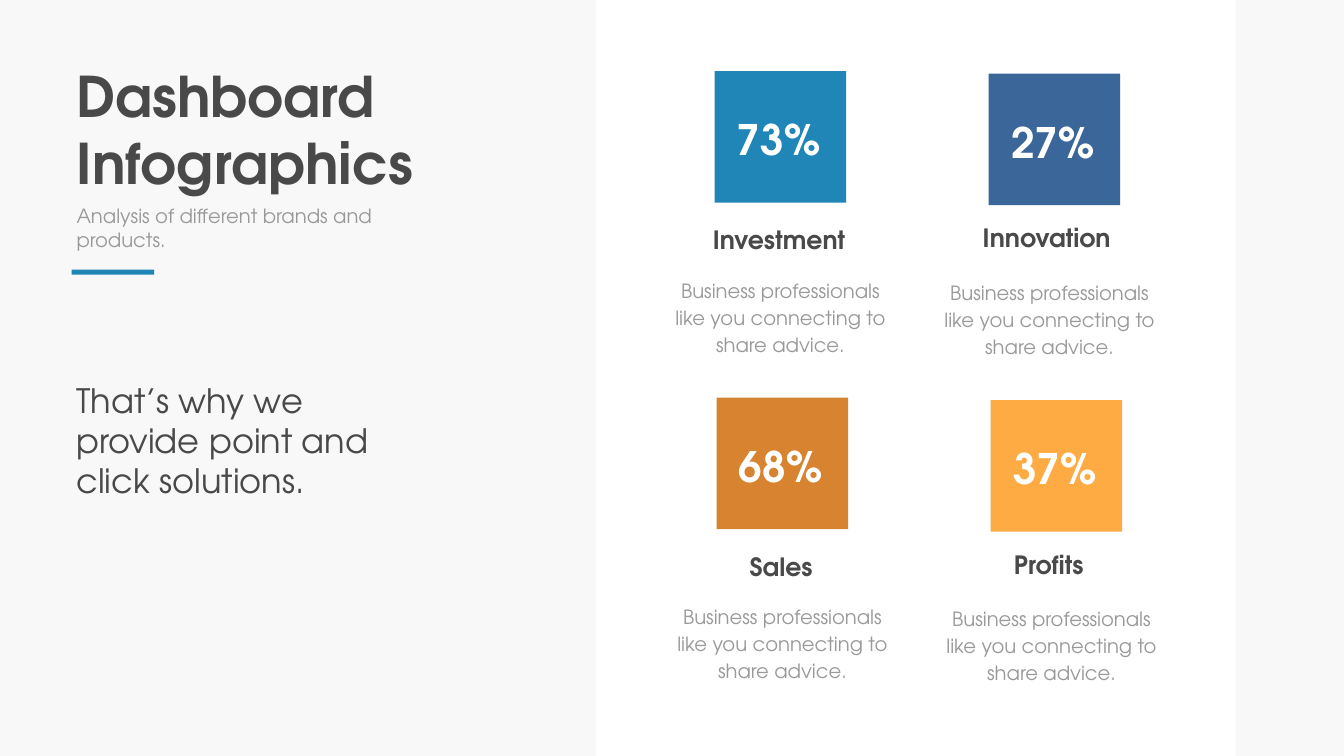
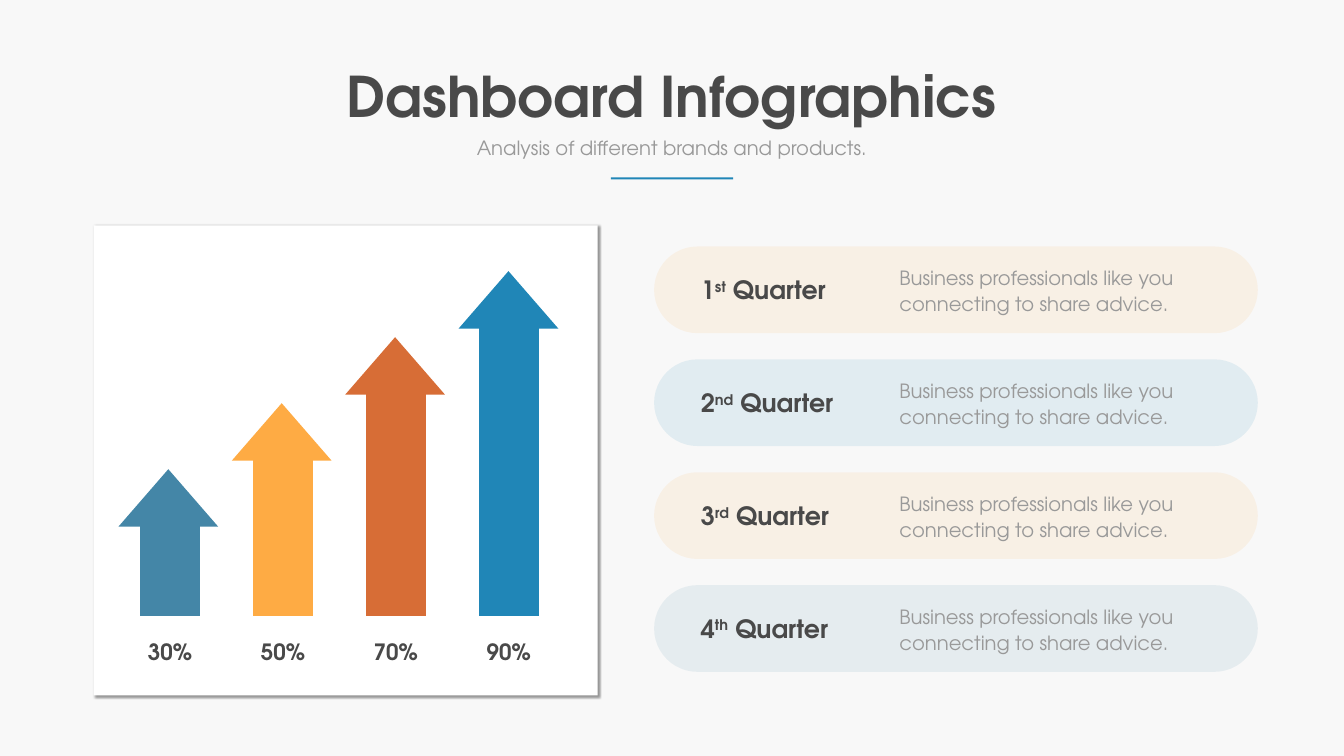
from dataclasses import dataclass
from typing import Optional

from lxml.etree import SubElement
from pptx import Presentation
from pptx.chart.data import CategoryChartData
from pptx.dml.color import RGBColor
from pptx.enum.chart import XL_CHART_TYPE
from pptx.enum.shapes import MSO_SHAPE
from pptx.enum.text import MSO_ANCHOR, MSO_AUTO_SIZE, PP_ALIGN
from pptx.oxml import parse_xml
from pptx.oxml.ns import nsdecls, qn
from pptx.util import Emu, Pt

PX = 9144
FONT = "TeX Gyre Adventor"
PAPER = RGBColor(0xF8, 0xF8, 0xF8)
WHITE = RGBColor(0xFF, 0xFF, 0xFF)
DARK = RGBColor(0x49, 0x49, 0x49)
GREY = RGBColor(0x99, 0x99, 0x99)
BLUE = RGBColor(0x20, 0x86, 0xB7)
NAVY = RGBColor(0x3A, 0x66, 0x99)
STEEL = RGBColor(0x44, 0x86, 0xA7)
BROWN = RGBColor(0xD7, 0x83, 0x30)
AMBER = RGBColor(0xFE, 0xAB, 0x44)
RUST = RGBColor(0xD7, 0x6D, 0x36)

TITLE = "Dashboard Infographics"
SUBTITLE = "Analysis of different brands and products."
ADVICE = "Business professionals like you connecting to share advice."


@dataclass(frozen=True)
class Area:
    left: int
    top: int
    width: int
    height: int

    def moved(self, right: int = 0, down: int = 0) -> "Area":
        return Area(self.left + right, self.top + down, self.width, self.height)

    def emu(self) -> list[Emu]:
        return [Emu(length * PX) for length in (self.left, self.top, self.width, self.height)]


@dataclass(frozen=True)
class TextStyle:
    size: int
    color: RGBColor
    bold: bool = False
    align: PP_ALIGN = PP_ALIGN.LEFT
    line_points: Optional[float] = None
    anchor: MSO_ANCHOR = MSO_ANCHOR.TOP
    wrap: bool = True


@dataclass(frozen=True)
class CardColumn:
    square: Area
    label: Area
    body: Area


@dataclass(frozen=True)
class Card:
    column: int
    row: int
    percent: str
    label: str
    color: RGBColor


@dataclass(frozen=True)
class Bar:
    value: int
    percent: str
    color: RGBColor


@dataclass(frozen=True)
class Quarter:
    number: str
    suffix: str
    color: RGBColor


CENTER = PP_ALIGN.CENTER
TITLE_LEFT = TextStyle(80, DARK, True)
TITLE_CENTER = TextStyle(80, DARK, True, CENTER, wrap=False)
SUBTITLE_LEFT = TextStyle(28, GREY)
SUBTITLE_CENTER = TextStyle(28, GREY, align=CENTER)
STATEMENT = TextStyle(48, DARK)
PERCENT = TextStyle(60, WHITE, True, CENTER)
CARD_LABEL = TextStyle(36, DARK, True, CENTER)
CARD_BODY = TextStyle(28, GREY, align=CENTER, line_points=38.6)
BAR_LABEL = TextStyle(32, DARK, True, CENTER, anchor=MSO_ANCHOR.MIDDLE)
QUARTER_LABEL = TextStyle(36, DARK, True)
QUARTER_BODY = TextStyle(28, GREY, line_points=36.6)

CARD_COLUMNS = [
    CardColumn(Area(1418, 141, 261, 261), Area(1333, 440, 426, 71), Area(1318, 541, 461, 169)),
    CardColumn(Area(1962, 146, 261, 261), Area(1843, 437, 468, 71), Area(1852, 545, 461, 169)),
]
CARD_ROW_SHIFT = (4, 648)
CARDS = [
    Card(0, 0, "73%", "Investment", BLUE),
    Card(1, 0, "27%", "Innovation", NAVY),
    Card(0, 1, "68%", "Sales", BROWN),
    Card(1, 1, "37%", "Profits", AMBER),
]
BARS = [
    Bar(33, "30%", STEEL),
    Bar(56, "50%", AMBER),
    Bar(78, "70%", RUST),
    Bar(100, "90%", BLUE),
]
QUARTERS = [
    Quarter("1", "st", AMBER),
    Quarter("2", "nd", BLUE),
    Quarter("3", "rd", AMBER),
    Quarter("4", "th", STEEL),
]
QUARTER_PITCH = 224


def set_all(target, values: dict) -> None:
    for name, value in values.items():
        setattr(target, name, value)


def write(box, spans: list[tuple[str, bool]], style: TextStyle) -> None:
    frame = box.text_frame
    set_all(frame, {
        "word_wrap": style.wrap,
        "auto_size": MSO_AUTO_SIZE.SHAPE_TO_FIT_TEXT,
        "vertical_anchor": style.anchor,
    })
    para = frame.paragraphs[0]
    para.alignment = style.align
    if style.line_points:
        para.line_spacing = Pt(style.line_points)
    for text, raised in spans:
        span = para.add_run()
        span.text = text
        set_all(span.font, {"name": FONT, "size": Pt(style.size), "bold": style.bold})
        span.font.color.rgb = style.color
        if raised:
            span._r.get_or_add_rPr().set("baseline", "30000")


def add_text(shapes, area: Area, text: str, style: TextStyle) -> None:
    write(shapes.add_textbox(*area.emu()), [(text, False)], style)


def add_block(shapes, area: Area, color: RGBColor, kind: MSO_SHAPE = MSO_SHAPE.RECTANGLE):
    block = shapes.add_shape(kind, *area.emu())
    block.shadow.inherit = False
    block.fill.solid()
    block.fill.fore_color.rgb = color
    block.line.fill.background()
    return block


def set_opacity(block, percent: int) -> None:
    color = block._element.spPr.find(qn("a:solidFill"))[0]
    SubElement(color, qn("a:alpha")).set("val", str(percent * 1000))


def add_drop_shadow(block) -> None:
    effects = block._element.spPr.find(qn("a:effectLst"))
    effects.append(parse_xml(
        f'<a:outerShdw {nsdecls("a")} blurRad="{Pt(4)}" dist="{Pt(3)}" dir="2700000" '
        'algn="tl" rotWithShape="0"><a:srgbClr val="000000">'
        '<a:alpha val="40000"/></a:srgbClr></a:outerShdw>'
    ))


def add_page(deck, title_area: Area, title_style: TextStyle, subtitle_area: Area,
             subtitle_style: TextStyle, rule: Area):
    page = deck.slides.add_slide(deck.slide_layouts[5])
    page.background.fill.solid()
    page.background.fill.fore_color.rgb = PAPER
    title = page.shapes.title
    set_all(title, dict(zip(("left", "top", "width", "height"), title_area.emu())))
    write(title, [(TITLE, False)], title_style)
    add_text(page.shapes, subtitle_area, SUBTITLE, subtitle_style)
    add_block(page.shapes, rule, BLUE)
    return page


def add_card(shapes, card: Card) -> None:
    column = CARD_COLUMNS[card.column]
    shift = [card.row * distance for distance in CARD_ROW_SHIFT]
    square = column.square.moved(*shift)
    add_block(shapes, square, card.color)
    add_text(shapes, Area(square.left + 4, square.top + 80, 246, 111), card.percent, PERCENT)
    add_text(shapes, column.label.moved(*shift), card.label, CARD_LABEL)
    add_text(shapes, column.body.moved(*shift), ADVICE, CARD_BODY)


def set_plot_layout(chart, left: float, top: float, width: float, height: float) -> None:
    plot_area = chart._chartSpace.chart.plotArea
    for old_layout in plot_area.findall(qn("c:layout")):
        plot_area.remove(old_layout)
    layout = parse_xml(
        f'<c:layout {nsdecls("c")}><c:manualLayout><c:layoutTarget val="inner"/>'
        '<c:xMode val="edge"/><c:yMode val="edge"/>'
        f'<c:x val="{left}"/><c:y val="{top}"/><c:w val="{width}"/><c:h val="{height}"/>'
        '</c:manualLayout></c:layout>'
    )
    plot_area.insert(0, layout)


def add_growth_chart(shapes) -> None:
    data = CategoryChartData()
    data.categories = [str(number) for number in range(1, len(BARS) + 1)]
    data.add_series("Series 1", [bar.value for bar in BARS])
    chart = shapes.add_chart(
        XL_CHART_TYPE.COLUMN_STACKED, *Area(197, 545, 944, 714).emu(), data
    ).chart
    set_all(chart, {"has_legend": False, "has_title": False})
    set_all(chart.font, {"name": FONT, "size": Pt(18)})
    chart.font.color.rgb = GREY
    for axis in (chart.category_axis, chart.value_axis):
        set_all(axis, {"visible": False, "has_major_gridlines": False})
    set_all(chart.value_axis, {"minimum_scale": 0, "maximum_scale": 110})
    plot = chart.plots[0]
    set_all(plot, {"gap_width": 90, "overlap": 100, "vary_by_categories": False})
    for index, bar in enumerate(BARS):
        fill = plot.series[0].points[index].format.fill
        fill.solid()
        fill.fore_color.rgb = bar.color
    set_plot_layout(chart, 0.03, 0.03, 0.95, 0.92)


def add_quarter(shapes, quarter: Quarter, down: int) -> None:
    pill = add_block(shapes, Area(1298, 489, 1198, 172).moved(down=down), quarter.color,
                     MSO_SHAPE.ROUNDED_RECTANGLE)
    pill.adjustments[0] = 0.5
    set_opacity(pill, 10)
    add_text(shapes, Area(1775, 519, 616, 113).moved(down=down), ADVICE, QUARTER_BODY)
    label = shapes.add_textbox(*Area(1381, 540, 394, 71).moved(down=down).emu())
    spans = [(quarter.number, False), (quarter.suffix, True), (" Quarter", False)]
    write(label, spans, QUARTER_LABEL)


def build_cards_page(deck) -> None:
    page = add_page(deck, Area(142, 117, 897, 279), TITLE_LEFT,
                    Area(142, 400, 646, 104), SUBTITLE_LEFT, Area(142, 535, 164, 10))
    add_block(page.shapes, Area(1183, 0, 1269, 1500), WHITE)
    for card in CARDS:
        add_card(page.shapes, card)
    add_text(page.shapes, Area(142, 748, 625, 252),
             "That’s why we provide point and click solutions.", STATEMENT)


def build_quarters_page(deck) -> None:
    page = add_page(deck, Area(669, 117, 1327, 145), TITLE_CENTER,
                    Area(855, 265, 956, 57), SUBTITLE_CENTER, Area(1212, 352, 243, 4))
    panel = add_block(page.shapes, Area(186, 447, 1000, 933), WHITE)
    add_drop_shadow(panel)
    add_growth_chart(page.shapes)
    for index, bar in enumerate(BARS):
        add_block(page.shapes, Area(235, 931, 198, 114).moved(225 * index, -131 * index),
                  bar.color, MSO_SHAPE.ISOSCELES_TRIANGLE)
        add_text(page.shapes, Area(257, 1261, 161, 64).moved(224 * index),
                 bar.percent, BAR_LABEL)
    group = page.shapes.add_group_shape()
    for index, quarter in enumerate(QUARTERS):
        add_quarter(group.shapes, quarter, index * QUARTER_PITCH)


def main() -> None:
    deck = Presentation()
    set_all(deck, {"slide_width": Emu(2667 * PX), "slide_height": Emu(1500 * PX)})
    build_cards_page(deck)
    build_quarters_page(deck)
    deck.save("out.pptx")


if __name__ == "__main__":
    main()
